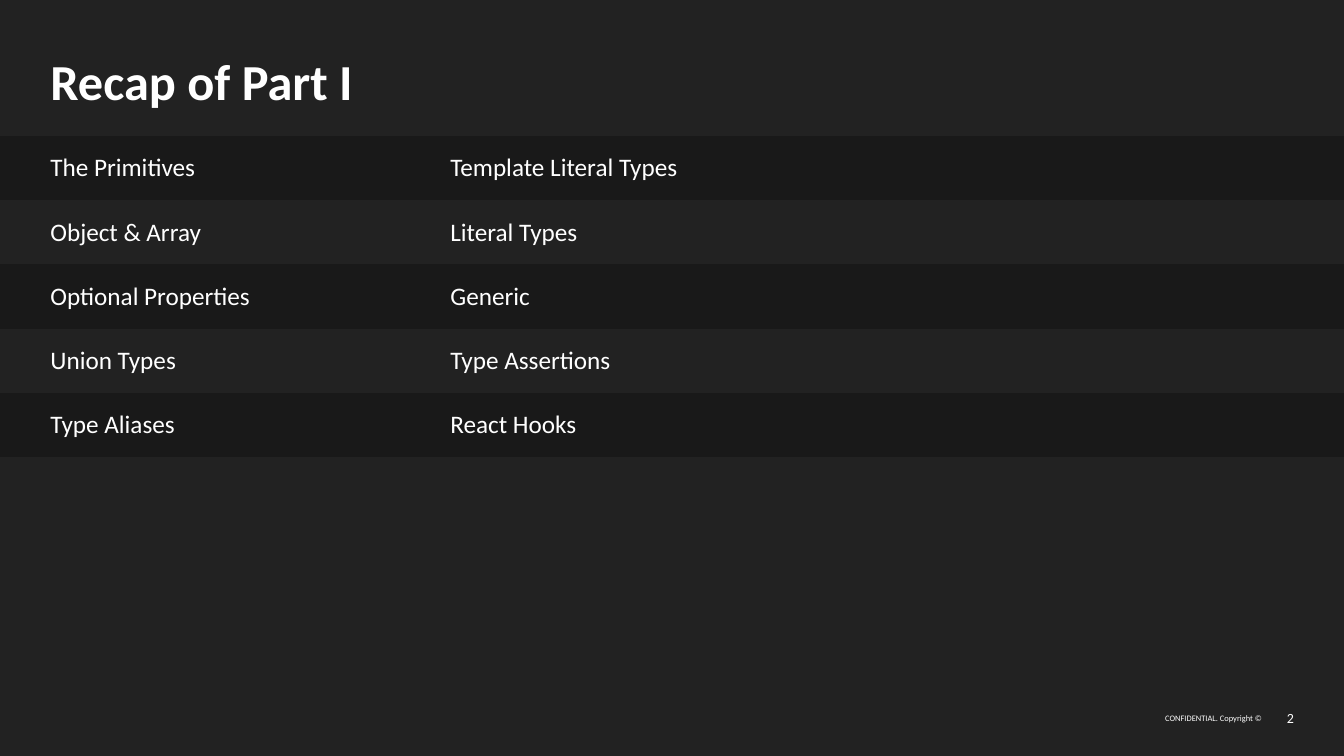
import pptx
import pptx.dml.color
import pptx.enum.text
import pptx.oxml.ns
import pptx.util

Cm = pptx.util.Cm
Pt = pptx.util.Pt
ANCHOR = pptx.enum.text.MSO_ANCHOR
ALIGN = pptx.enum.text.PP_ALIGN

COLORS = {"background": "222222", "band": "191919", "text": "FFFFFF"}
FONT = "Calibri"
NO_GRID_STYLE = "{2D5ABB26-0587-4C30-8999-92F81FD0307C}"
TOPICS = [
    ("The Primitives", "Template Literal Types"),
    ("Object & Array", "Literal Types"),
    ("Optional Properties", "Generic"),
    ("Union Types", "Type Assertions"),
    ("Type Aliases", "React Hooks"),
]


def rgb(name):
    return pptx.dml.color.RGBColor.from_string(COLORS[name])


def write(tf, text, size, bold=False, align=ALIGN.LEFT):
    tf.text = text
    tf.word_wrap = True
    p = tf.paragraphs[0]
    p.alignment = align
    r = p.runs[0]
    r.font.name = FONT
    r.font.size = Pt(size)
    r.font.bold = bold
    r.font.color.rgb = rgb("text")


prs = pptx.Presentation()
prs.slide_width = Cm(33.87)
prs.slide_height = Cm(19.05)
s = prs.slides.add_slide(prs.slide_layouts[6])
s.background.fill.solid()
s.background.fill.fore_color.rgb = rgb("background")

labels = [
    ("Recap of Part I", 1.27, 1.27, 31.32, 1.55, 36, True, ALIGN.LEFT, ANCHOR.TOP),
    ("CONFIDENTIAL. Copyright ©", 29.18, 17.8, 2.62, 0.6, 6, False, ALIGN.RIGHT, ANCHOR.MIDDLE),
    ("2", 31.92, 17.8, 0.69, 0.6, 10, False, ALIGN.RIGHT, ANCHOR.MIDDLE),
]
for text, left, top, width, height, size, bold, align, anchor in labels:
    sp = s.shapes.add_textbox(Cm(left), Cm(top), Cm(width), Cm(height))
    tf = sp.text_frame
    tf.margin_left = tf.margin_right = tf.margin_top = tf.margin_bottom = 0
    tf.vertical_anchor = anchor
    write(tf, text, size, bold, align)

row_height = Cm(1.617)
table = s.shapes.add_table(
    len(TOPICS), 2, 0, Cm(3.43), prs.slide_width, row_height * len(TOPICS)
).table
table.first_row = False
table.horz_banding = False
table._tbl.tblPr.find(pptx.oxml.ns.qn("a:tableStyleId")).text = NO_GRID_STYLE
table.columns[0].width = Cm(10.08)
table.columns[1].width = prs.slide_width - Cm(10.08)

for i, topics in enumerate(TOPICS):
    table.rows[i].height = row_height
    for j, topic in enumerate(topics):
        cell = table.cell(i, j)
        cell.margin_left = cell.margin_right = Cm(1.27)
        cell.margin_top = cell.margin_bottom = 0
        cell.vertical_anchor = ANCHOR.MIDDLE
        if i % 2 == 0:
            cell.fill.solid()
            cell.fill.fore_color.rgb = rgb("band")
        else:
            cell.fill.background()
        write(cell.text_frame, topic, 18)

prs.save("out.pptx")
